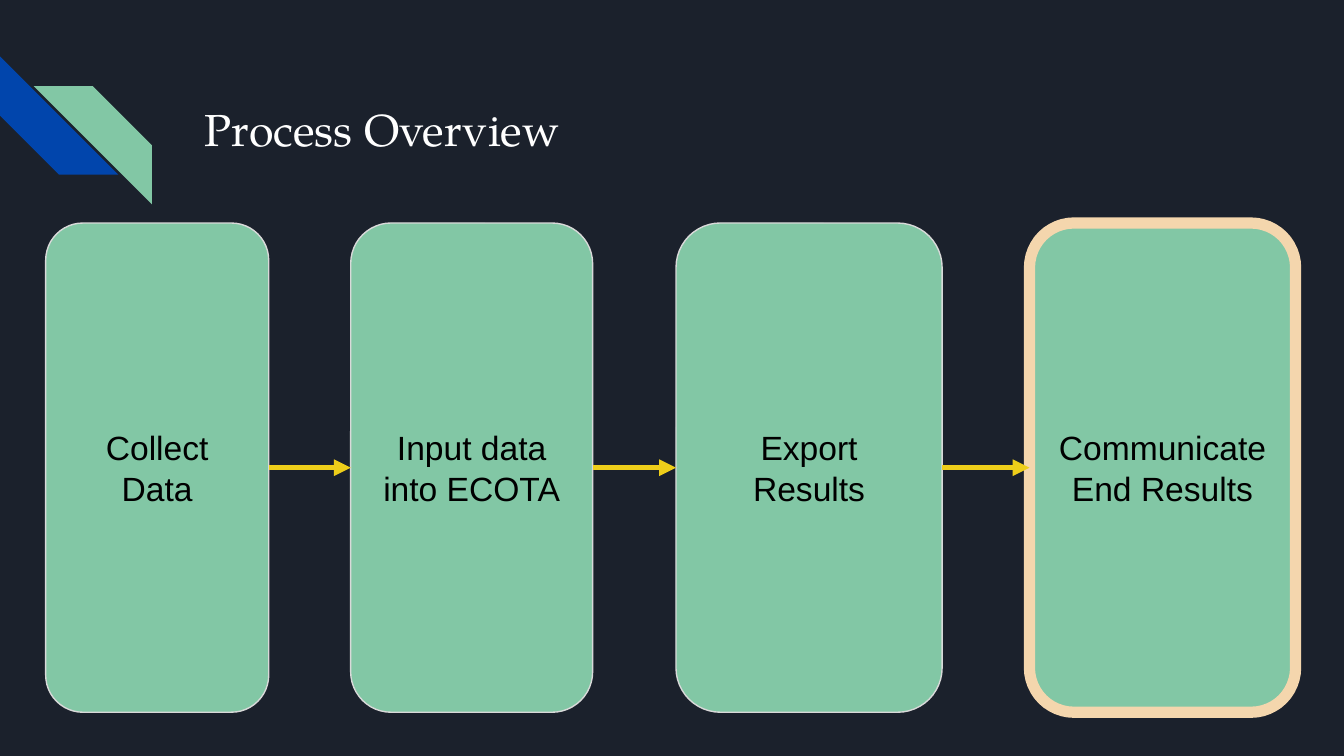
from itertools import pairwise

from lxml.etree import SubElement
from pptx import Presentation
from pptx.dml.color import RGBColor
from pptx.enum.shapes import MSO_CONNECTOR as Connector, MSO_SHAPE as Shape
from pptx.enum.text import MSO_ANCHOR as Anchor, PP_ALIGN as Align
from pptx.oxml.ns import qn
from pptx.util import Inches, Pt

COLORS = {
    "background": "1B212C",
    "blue": "0145AC",
    "green": "82C7A5",
    "outline": "D9D9D9",
    "highlight": "F4D6AD",
    "arrow": "EECE1A",
    "title": "FFFFFF",
    "label": "000000",
}
SLIDE_WIDTH = Inches(10)
SLIDE_HEIGHT = SLIDE_WIDTH * 9 // 16
ROW_TOP, ROW_HEIGHT = 1.66, 3.64
STRIPE_SIZE = 0.88
STEPS = [
    ("Collect Data", 0.34, 1.66),
    ("Input data into ECOTA", 2.61, 1.8),
    ("Export Results", 5.03, 1.98),
    ("Communicate End Results", 7.66, 1.98),
]


def color(name):
    return RGBColor.from_string(COLORS[name])


def write(shape, text, size, font, ink, align=Align.LEFT, anchor=Anchor.TOP):
    frame = shape.text_frame
    frame.word_wrap = True
    frame.vertical_anchor = anchor
    frame.margin_left = frame.margin_right = Inches(0.1)
    frame.margin_top = frame.margin_bottom = Inches(0.1)
    para = frame.paragraphs[0]
    para.alignment = align
    span = para.add_run()
    span.text = text
    span.font.size = Pt(size)
    span.font.name = font
    span.font.color.rgb = color(ink)


def add_filled(page, kind, left, top, width, height, fill, adjustment):
    shape = page.shapes.add_shape(kind, *map(Inches, (left, top, width, height)))
    shape.shadow.inherit = False
    shape.adjustments[0] = adjustment
    shape.fill.solid()
    shape.fill.fore_color.rgb = color(fill)
    return shape


def add_stripe(page, left, top, fill):
    stripe = add_filled(page, Shape.DIAGONAL_STRIPE, left, top,
                        STRIPE_SIZE, STRIPE_SIZE, fill, 0.5)
    stripe.line.fill.background()
    return stripe


def add_step(page, text, left, width, outline="outline", weight=0.75):
    box = add_filled(page, Shape.ROUNDED_RECTANGLE, left, ROW_TOP,
                     width, ROW_HEIGHT, "green", 0.167)
    box.line.color.rgb = color(outline)
    box.line.width = Pt(weight)
    write(box, text, 18, "Arial", "label", align=Align.CENTER, anchor=Anchor.MIDDLE)
    return box


def add_arrow(page, source, target):
    arrow = page.shapes.add_connector(Connector.STRAIGHT, 0, 0, 0, 0)
    arrow.begin_connect(source, 3)
    arrow.end_connect(target, 1)
    arrow.line.color.rgb = color("arrow")
    arrow.line.width = Pt(3)
    SubElement(arrow.line._get_or_add_ln(), qn("a:tailEnd"), type="triangle")
    SubElement(arrow._element.spPr, qn("a:effectLst"))


def add_title(page, text):
    title = page.shapes.title
    title.left, title.top, title.width, title.height = map(
        Inches, (1.42, 0.66, 7.7, 1))
    write(title, text, 24, "TeX Gyre Pagella", "title")


def main():
    deck = Presentation()
    deck.slide_width, deck.slide_height = SLIDE_WIDTH, SLIDE_HEIGHT
    page = deck.slides.add_slide(deck.slide_layouts[5])
    page.background.fill.solid()
    page.background.fill.fore_color.rgb = color("background")

    add_stripe(page, 0, 0.42, "blue").rotation = 270
    mirrored = add_stripe(page, 0.25, 0.64, "green")
    mirrored._element.spPr.xfrm.set("flipH", "1")

    add_title(page, "Process Overview")
    boxes = [add_step(page, *step) for step in STEPS[:-1]]
    boxes.append(add_step(page, *STEPS[-1], outline="highlight", weight=6))
    for source, target in pairwise(boxes):
        add_arrow(page, source, target)

    deck.save("out.pptx")


if __name__ == "__main__":
    main()
